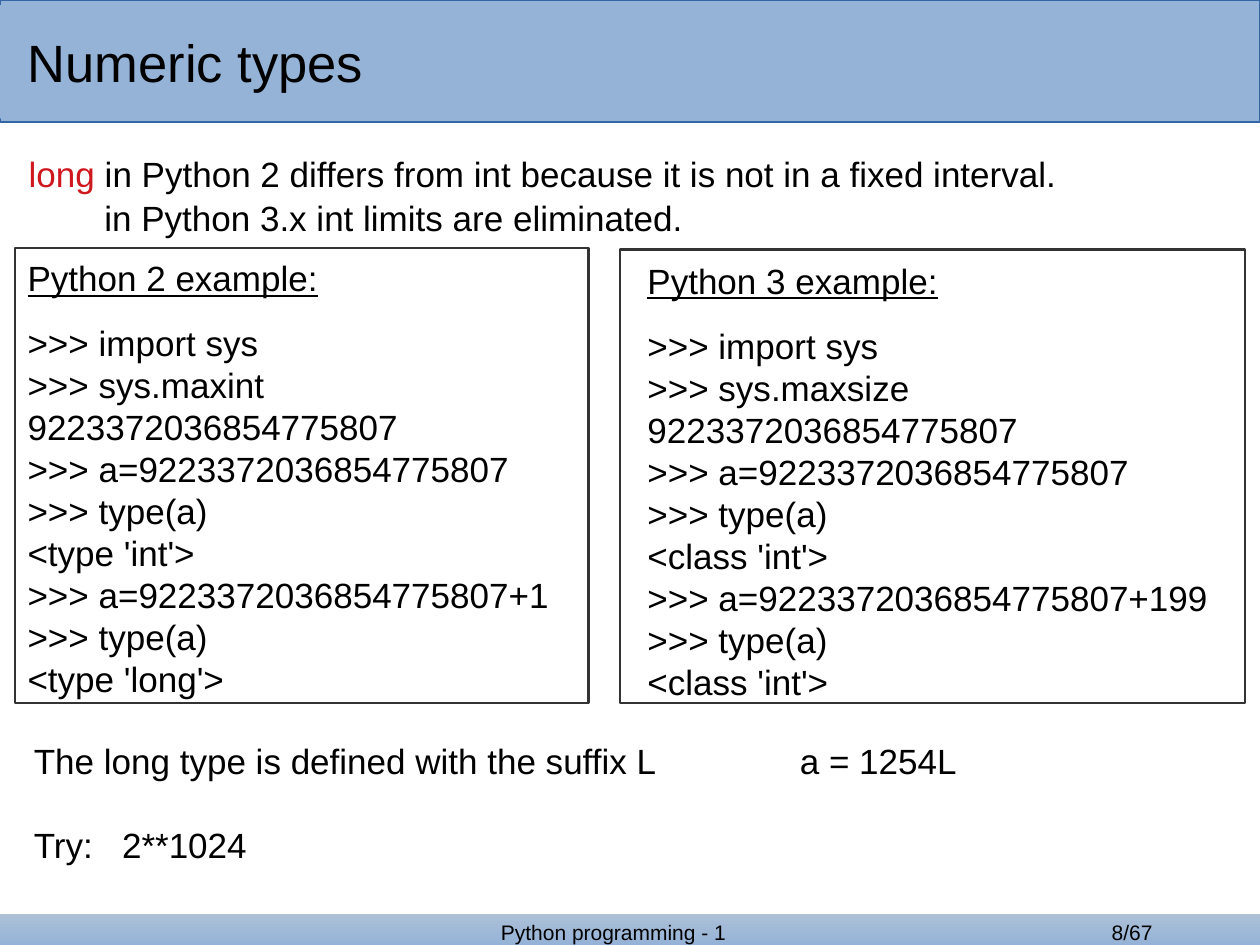
from pptx import Presentation
from pptx.dml.color import RGBColor as Rgb
from pptx.enum.shapes import MSO_SHAPE as Kind
from pptx.enum.text import MSO_ANCHOR as Anchor, PP_ALIGN as Align
from pptx.oxml.ns import qn
from pptx.util import Inches, Pt
from lxml.etree import SubElement as Sub

HUES = {"bar": "95B3D7", "pale": "ADC0D7", "edge": "3465A4",
        "frame": "333333", "word": "CE181E", "ink": "000000"}

deck = Presentation()
deck.slide_width, deck.slide_height = Inches(10), Inches(7.5)
slide = deck.slides.add_slide(deck.slide_layouts[6])
cell = deck.slide_width / 100  # grid of 100 columns and 75 rows


def block(area, fill=None, edge=None, width=0):
    rect = slide.shapes.add_shape(Kind.RECTANGLE, *[round(n * cell) for n in area])
    rect.shadow.inherit = False
    if fill:
        rect.fill.solid()
        rect.fill.fore_color.rgb = Rgb.from_string(HUES[fill])
    else:
        rect.fill.background()
    if edge:
        rect.line.color.rgb = Rgb.from_string(HUES[edge])
        rect.line.width = Pt(width)
    else:
        rect.line.fill.background()
    return rect


def write(area, text, size=20, align=Align.LEFT, rect=None):
    item = rect or slide.shapes.add_textbox(*[round(n * cell) for n in area])
    frame = item.text_frame
    frame.word_wrap = True
    frame.text = text
    for para in frame.paragraphs:
        para.alignment = align
        for run in para.runs:
            run.font.name, run.font.size = "Arial", Pt(size)
            run.font.color.rgb = Rgb.from_string(HUES["ink"])
    return frame


# Header and title
block((0, 0, 100, 9.7), "bar", "edge", 0)
head = block((0, 0.4, 83.5, 9), "bar")
title = write(None, "Numeric types", 30, rect=head)
title.margin_left = Inches(0.22)
title.vertical_anchor = Anchor.MIDDLE

# Footer
foot = block((0, 72.5, 100, 2.5), "bar")
foot.fill.gradient()
foot.fill.gradient_angle = 90
for stop, hue in zip(foot.fill.gradient_stops, ("bar", "pale")):
    stop.color.rgb = Rgb.from_string(HUES[hue])
write((32.5, 72.5, 32.4, 2.5), "Python programming - 1", 12, Align.CENTER)
write((79.7, 72.5, 20.3, 2.5), "8/67", 12, Align.CENTER)

# Introduction, second line aligned after the red word
intro = write((1.3, 11.6, 98, 8), "long\n"
              "in Python 3.x int limits are eliminated.")
first, second = intro.paragraphs
first.runs[0].font.color.rgb = Rgb.from_string(HUES["word"])
rest = first.add_run()
rest.text = " in Python 2 differs from int because it is not in a fixed interval."
rest.font.name, rest.font.size = "Arial", Pt(20)
rest.font.color.rgb = Rgb.from_string(HUES["ink"])
second._p.get_or_add_pPr().set("marL", str(Inches(0.6)))
second.space_before = Pt(1)

# Examples: version, frame, text area, limit, int type, sum, last type
cases = [
    (3, (49.2, 19.8, 49.6, 36), (50.4, 19.6, 49.3, 36.2),
     "maxsize", "class 'int'", "199", "class 'int'"),
    (2, (1.2, 19.7, 45.5, 36.1), (1.2, 19.4, 45.5, 36.4),
     "maxint", "type 'int'", "1", "type 'long'"),
]
top = "9223372036854775807"
for ver, edge, area, limit, kind, more, last in cases:
    block(edge, None, "frame", 1.45)
    lines = [f"Python {ver} example:", ">>> import sys", f">>> sys.{limit}", top,
             f">>> a={top}", ">>> type(a)", f"<{kind}>",
             f">>> a={top}+{more}", ">>> type(a)", f"<{last}>"]
    code = write(area, "\n".join(lines))
    code.paragraphs[0].line_spacing = 1.15
    code.paragraphs[0].runs[0].font.underline = True
    code.paragraphs[1].space_before = Pt(13)

# Closing notes, spaced out by tab stops
notes = write((1.7, 58.2, 97.9, 13), "The long type is defined with the suffix L\ta = 1254L\n"
              "Try:\t2**1024")
notes.paragraphs[1].space_before = Pt(24)
for para, stop in zip(notes.paragraphs, (6.08, 0.7)):
    tabs = Sub(para._p.get_or_add_pPr(), qn("a:tabLst"))
    Sub(tabs, qn("a:tab"), pos=str(Inches(stop)), algn="l")

deck.save("out.pptx")
